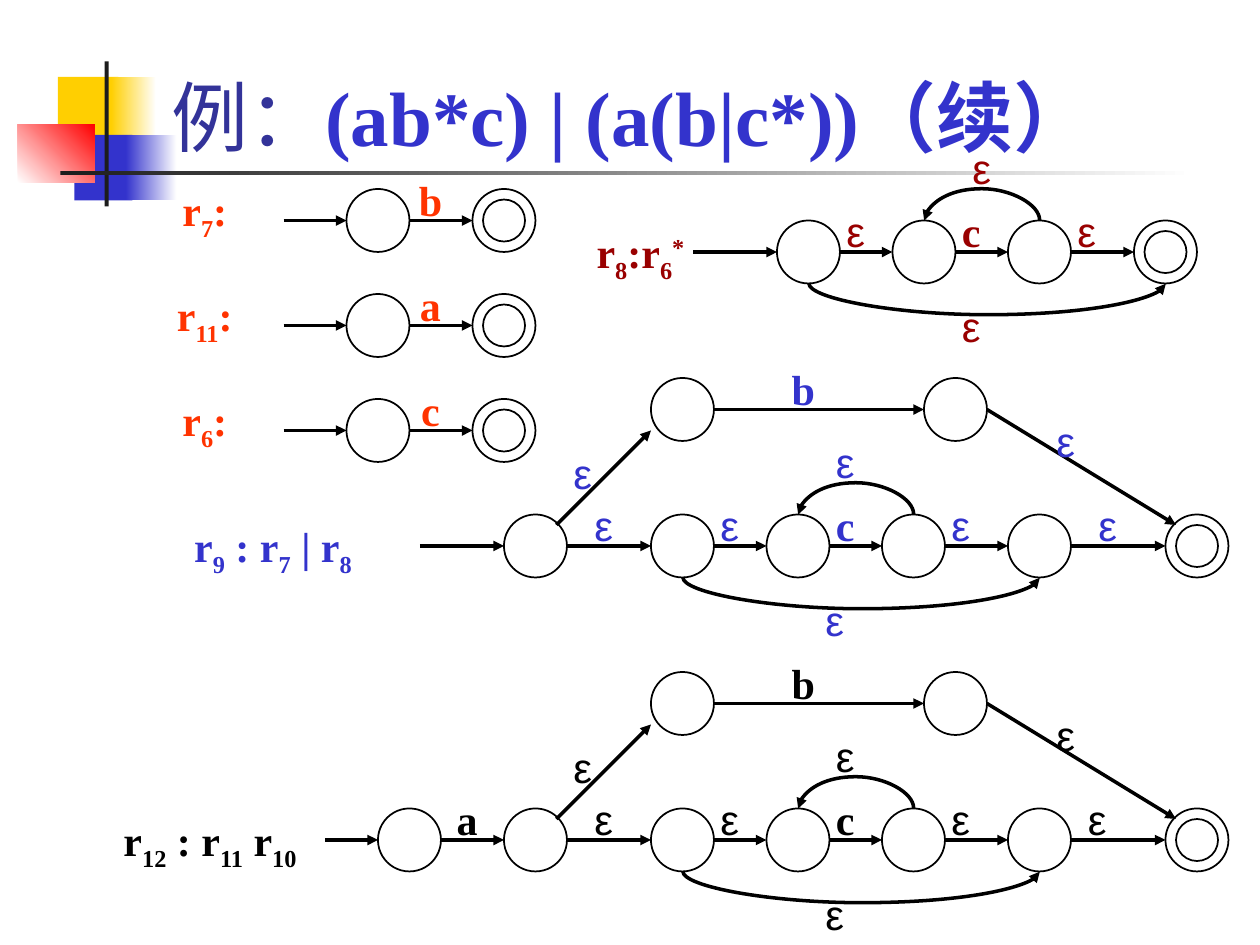
import pptx
import pptx.dml.color
import pptx.enum.dml
import pptx.enum.shapes
import pptx.enum.text
import pptx.oxml
import pptx.oxml.ns
import pptx.util
from lxml import etree

Cm = pptx.util.Cm
Pt = pptx.util.Pt
RGB = pptx.dml.color.RGBColor.from_string
qn = pptx.oxml.ns.qn
SHAPE = pptx.enum.shapes.MSO_SHAPE
CONNECTOR = pptx.enum.shapes.MSO_CONNECTOR
ALIGN = pptx.enum.text.PP_ALIGN
ANCHOR = pptx.enum.text.MSO_ANCHOR

COLORS = {
    "black": "000000", "white": "FFFFFF", "ink": "1C1C1C", "yellow": "FFCF01",
    "blue": "3333CC", "navy": "333399", "red": "FF0000", "orange": "FF3300",
    "maroon": "990000",
}
GRID = 2.54 / 12  # the automata sit on a grid of twelve steps to the inch
STATE = 6         # diameter of a state, in grid steps
BEND = 3          # how far a curved arrow swings out, in grid steps

prs = pptx.Presentation()
prs.slide_width, prs.slide_height = Cm(25.4), Cm(19.05)
s = prs.slides.add_slide(prs.slide_layouts[6])


def label(x, y, w, color, *parts):
    """Centred text; a part led by _ is a subscript, by ^ a superscript."""
    box = s.shapes.add_textbox(Cm(x * GRID), Cm(y * GRID), Cm(w * GRID), Cm(6 * GRID))
    tf = box.text_frame
    tf.word_wrap = True
    p = tf.paragraphs[0]
    p.alignment = ALIGN.CENTER
    for part in parts:
        r = p.add_run()
        r.text = part.lstrip("_^")
        r.font.size = Pt(24)
        r.font.bold = part != "ε"
        r.font.name = "Arial" if part == "ε" else "Times New Roman"
        r.font.color.rgb = RGB(COLORS[color])
        if part[0] in "_^":
            r.font._element.set("baseline", "-25000" if part[0] == "_" else "30000")


def arrow(x1, y1, x2, y2, bend=0):
    """Arrow in grid steps; a bend swings it down (positive) or up (negative)."""
    if bend:
        # A thin upright curve, turned by 270 degrees about its middle
        mid, half, thin = (x1 + x2) / 2 * GRID, (x2 - x1) / 2 * GRID, 0.01
        y = y1 * GRID
        sp = s.shapes.add_connector(CONNECTOR.CURVE, Cm(mid + thin), Cm(y - half),
                                    Cm(mid), Cm(y + half))
        sp._element.spPr.find(qn("a:xfrm")).set("rot", "16200000")
        guides = sp._element.spPr.find(qn("a:prstGeom")).get_or_add_avLst()
        etree.SubElement(guides, qn("a:gd"), name="adj1",
                         fmla=f"val {round(bend * GRID / thin * 100000)}")
    else:
        sp = s.shapes.add_connector(CONNECTOR.STRAIGHT, Cm(x1 * GRID), Cm(y1 * GRID),
                                    Cm(x2 * GRID), Cm(y2 * GRID))
    sp.line.color.rgb = RGB(COLORS["black"])
    sp.line.width = Pt(2)
    etree.SubElement(sp.line._get_or_add_ln(), qn("a:tailEnd"), type="triangle")
    etree.SubElement(sp._element.spPr, qn("a:effectLst"))


# Decoration: left, top, width, height (cm), start colour, end colour, angle
decoration = [
    (1.17, 1.55, 1.22, 1.32, "yellow", None, 0),
    (2.24, 1.55, 0.91, 1.32, "yellow", "white", 0),
    (1.5, 2.72, 1.17, 1.32, "blue", None, 0),
    (2.54, 2.72, 1.02, 1.32, "blue", "white", 0),
    (0.36, 2.51, 1.55, 1.17, "white", "red", 45),
    (2.11, 1.24, 0.08, 2.92, "ink", None, 0),
    (1.22, 3.45, 22.86, 0.08, "ink", "white", 0),
]
for x, y, w, h, start, end, angle in decoration:
    sp = s.shapes.add_shape(SHAPE.RECTANGLE, Cm(x), Cm(y), Cm(w), Cm(h))
    sp.shadow.inherit = False
    sp.line.fill.background()
    if end:
        sp.fill.gradient()
        sp.fill.gradient_angle = angle
        for stop, color, place in zip(sp.fill.gradient_stops, (start, end), (0, 1)):
            stop.color.rgb = RGB(COLORS[color])
            stop.position = place
    else:
        sp.fill.solid()
        sp.fill.fore_color.rgb = RGB(COLORS[start])

# Title
title = s.shapes.add_textbox(Cm(3.2), Cm(0.2), Cm(21.64), Cm(3.18))
tf = title.text_frame
tf.word_wrap = True
tf.vertical_anchor = ANCHOR.BOTTOM
for text, color, bold in [("例：", "navy", False), ("(ab*c) | (a(b|c*))（续）", "blue", True)]:
    r = tf.paragraphs[0].add_run()
    r.text = text
    r.font.name = "Times New Roman"
    r.font.size = Pt(44)
    r.font.bold = bold
    r.font.color.rgb = RGB(COLORS[color])

states, finals = [], []  # top left corners

# One-letter automata
for top, number, letter in [(18, "7", "b"), (28, "11", "a"), (38, "6", "c")]:
    states.append((33, top))
    finals.append((45, top))
    label(15, top - 1, 9, "orange", "r", "_" + number, ":")
    label(38, top - 2, 6, "orange", letter)
    arrow(27, top + 3, 33, top + 3)
    arrow(39, top + 3, 45, top + 3)

# c* loops: left, top, colour, shift of the outer labels
for left, top, color, shift in [(74, 21, "maroon", 1), (62, 49, "blue", 0), (62, 77, "black", 0)]:
    columns = [left + step for step in (0, 11, 22, 34)]
    states += [(x, top) for x in columns]
    arrow(left - 8, top + 3, left, top + 3)
    for x, following in zip(columns, columns[1:]):
        arrow(x + STATE, top + 3, following, top + 3)
    arrow(columns[0] + 3, top + 6, columns[3] + 3, top + 6, BEND)
    arrow(columns[2] + 3, top, columns[1] + 3, top, -BEND)
    for dx, dy, text in [(4, -2, "ε"), (15, -2, "c"), (26, -2, "ε"),
                         (14 + shift, 7, "ε"), (15 + shift, -8, "ε")]:
        label(left + dx, top + dy, 7, color, text)
states.remove((108, 21))
finals.append((108, 21))
label(55, 21, 12, "maroon", "r", "_8", ":r", "_6", "^*")

# Branches b | c* around the two lower loops
for top, color, entry, last in [(49, "blue", 40, 102), (77, "black", 42, 101)]:
    mid, upper = top + 3, top - 10
    states += [(48, top), (62, top - 13), (88, top - 13)]
    finals.append((111, top))
    arrow(entry, mid, 48, mid)
    arrow(102, mid, 111, mid)
    arrow(53, top + 1, 62, top - 8)
    arrow(68, upper, 88, upper)
    arrow(94, upper, 112, top + 1)
    for x, y, text in [(98, upper, "ε"), (52, top - 7, "ε"), (73, top - 15, "b"),
                       (54, top - 2, "ε"), (last, top - 2, "ε")]:
        label(x, y, 7, color, text)
label(15, 49, 22, "blue", "r", "_9", " : r", "_7", " | r", "_8")

# Leading a of the bottom automaton
states.append((36, 77))
arrow(31, 80, 36, 80)
label(41, 75, 7, "black", "a")
label(9, 77, 22, "black", "r", "_12", " : r", "_11", " r", "_10")

# States, with a second ring on the final ones
rings = [(x, y, STATE) for x, y in states + finals]
rings += [(x + 1, y + 1, STATE - 2) for x, y in finals]
for x, y, size in rings:
    sp = s.shapes.add_shape(SHAPE.OVAL, Cm(x * GRID), Cm(y * GRID), Cm(size * GRID), Cm(size * GRID))
    sp.shadow.inherit = False
    sp.fill.background()
    sp.line.color.rgb = RGB(COLORS["black"])
    sp.line.width = Pt(1)

prs.save("out.pptx")
